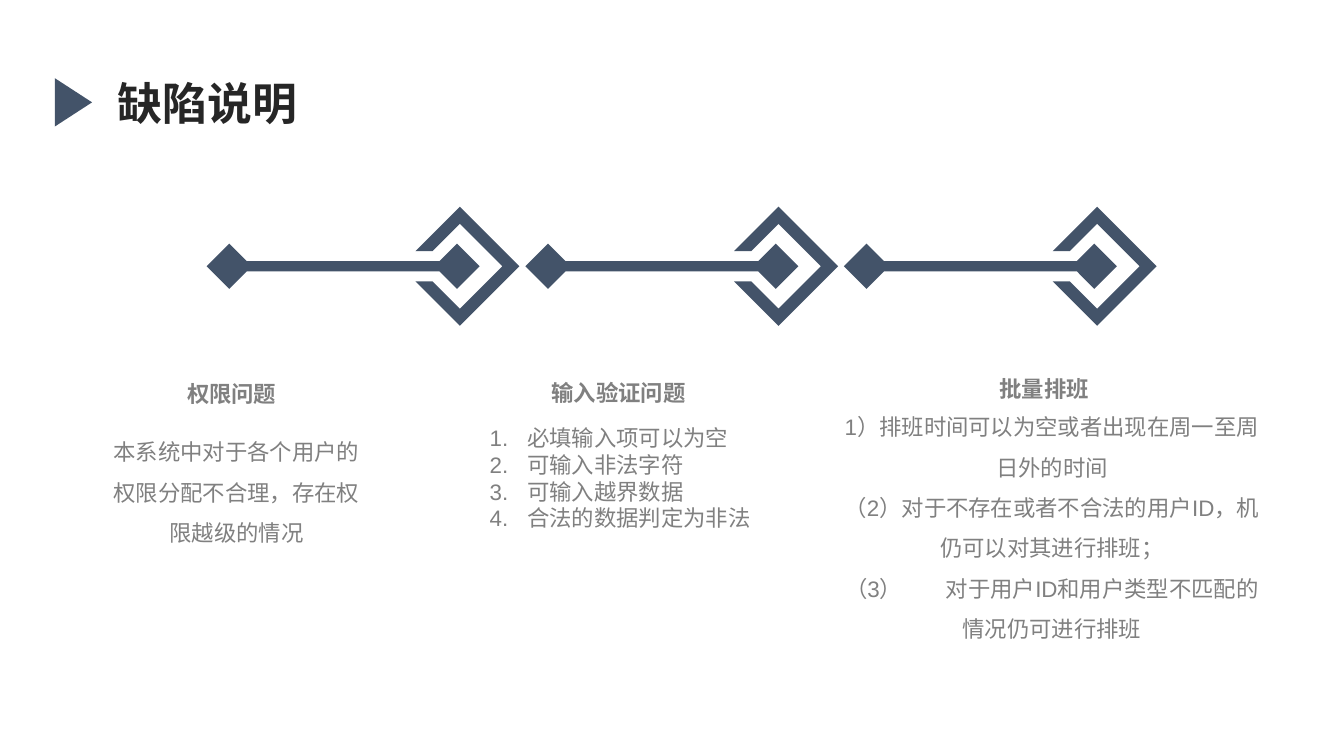
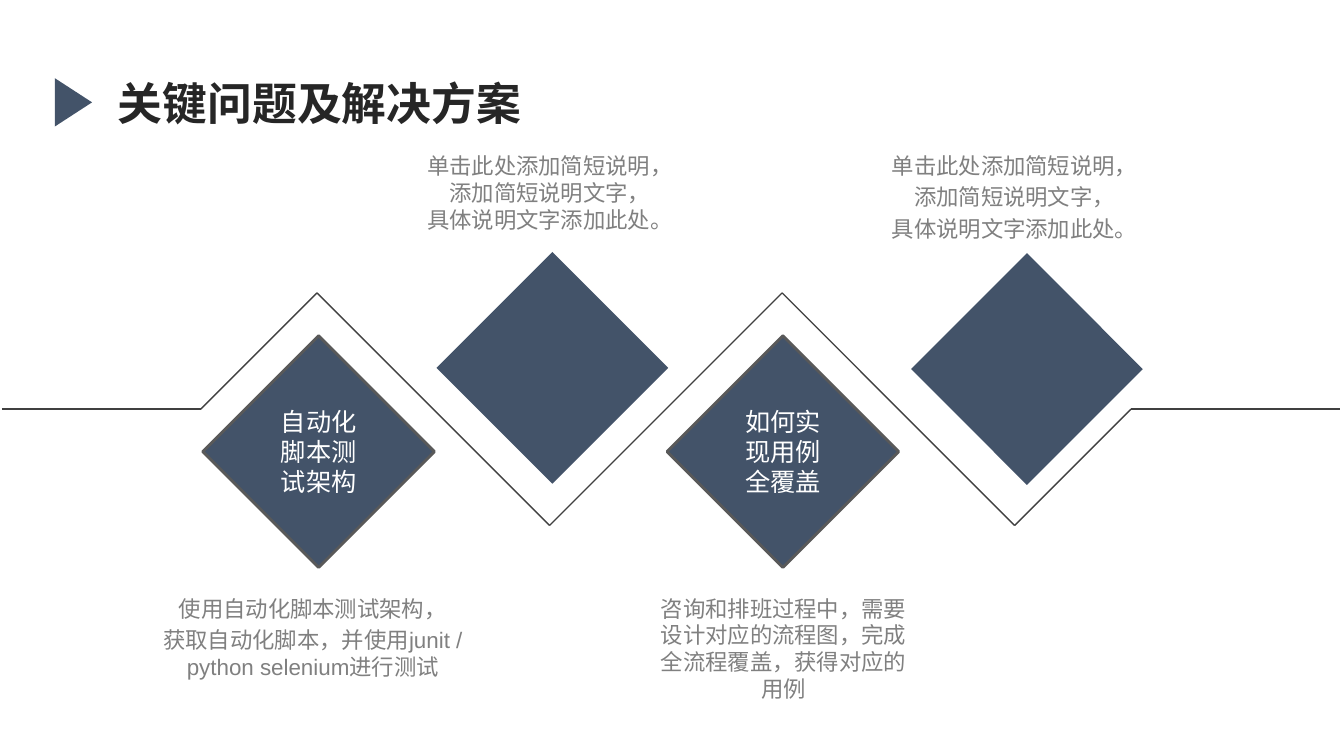
from itertools import pairwise

from lxml import etree
from pptx import Presentation
from pptx.dml.color import RGBColor
from pptx.enum.lang import MSO_LANGUAGE_ID as Lang
from pptx.enum.shapes import MSO_CONNECTOR as Connector, MSO_SHAPE as Shape
from pptx.enum.text import MSO_ANCHOR as Anchor, MSO_AUTO_SIZE as AutoSize, PP_ALIGN as Align
from pptx.oxml.ns import qn
from pptx.util import Cm, Pt

COLORS = {
    "accent": "435369",
    "title": "262626",
    "body": "808080",
    "path": "404040",
    "edge": "595959",
    "light": "FFFFFF",
}
FONT = "Arial"


def color(name):
    return RGBColor.from_string(COLORS[name])


def write(frame, text, size=16, ink="body", bold=False, align=Align.CENTER,
          spacing=None, gap=None, numbered=False):
    """Fill a text frame, one paragraph per line of text."""
    frame.word_wrap = True
    for index, line in enumerate(text.split("\n")):
        paragraph = frame.add_paragraph() if index else frame.paragraphs[0]
        paragraph.alignment = align
        if spacing:
            paragraph.line_spacing = spacing
        if gap and index:
            paragraph.space_before = Pt(gap)
        if numbered:
            properties = paragraph._p.get_or_add_pPr()
            properties.set("marL", str(Cm(0.95)))
            properties.set("indent", str(-Cm(0.95)))
            etree.SubElement(properties, qn("a:buAutoNum"), type="arabicPeriod")
        run = paragraph.add_run()
        run.text = line
        font = run.font
        font.size, font.bold, font.name = Pt(size), bold, FONT
        font.color.rgb = color(ink)
        font.language_id = Lang.SIMPLIFIED_CHINESE
        etree.SubElement(run._r.get_or_add_rPr(), qn("a:ea"), typeface=FONT)


def add_text(slide, left, top, width, height, text, **style):
    box = slide.shapes.add_textbox(Cm(left), Cm(top), Cm(width), Cm(height))
    write(box.text_frame, text, **style)
    box.text_frame.auto_size = AutoSize.SHAPE_TO_FIT_TEXT


def paint(shape, edge=None):
    shape.shadow.inherit = False
    shape.fill.solid()
    shape.fill.fore_color.rgb = color("accent")
    if edge:
        shape.line.color.rgb = color(edge)
        shape.line.width = Pt(2)
    else:
        shape.line.fill.background()


def add_outline(slide, points):
    (first_x, first_y), *others = [(Cm(x), Cm(y)) for x, y in points]
    builder = slide.shapes.build_freeform(first_x, first_y)
    builder.add_line_segments(others, close=True)
    paint(builder.convert_to_shape())


def add_title(slide, text, width):
    marker = slide.shapes.add_shape(Shape.ISOSCELES_TRIANGLE, Cm(1.24), Cm(2.11), Cm(1.22), Cm(0.94))
    marker.rotation = 90
    paint(marker)
    add_text(slide, 2.72, 1.78, width, 1.63, text, size=32, ink="title", bold=True, align=Align.LEFT)


def add_link(slide, left, middle):
    """Rod with a diamond at each end, inside an open square chevron."""
    length, tip, rod = 6.88, 0.57, 0.13
    neck = 2 * tip - rod
    right = left + length
    add_outline(slide, [
        (left, middle), (left + tip, middle - tip), (left + neck, middle - rod),
        (right - neck, middle - rod), (right - tip, middle - tip), (right, middle),
        (right - tip, middle + tip), (right - neck, middle + rod),
        (left + neck, middle + rod), (left + tip, middle + tip),
    ])
    apex, outer, inner, opening = left + 6.38, 1.5, 1.07, 0.38
    add_outline(slide, [
        (apex, middle - outer), (apex - outer + opening, middle - opening),
        (apex - inner + opening, middle - opening), (apex, middle - inner),
        (apex + inner, middle), (apex, middle + inner),
        (apex - inner + opening, middle + opening),
        (apex - outer + opening, middle + opening), (apex, middle + outer),
        (apex + outer, middle),
    ])


def add_defect(slide, left, top, width, height, heading, body,
               inset=1.14, heading_width=4.72, drop=1.14, **style):
    add_text(slide, left + inset, top, heading_width, 0.94, heading, bold=True)
    add_text(slide, left, top + drop, width, height - drop, body, **style)


def build_defects(slide):
    add_title(slide, "缺陷说明", 7.95)
    # Chain of links
    for step in range(3):
        add_link(slide, 5.21 + 8.03 * step, 6.71)
    # Defect columns
    add_defect(slide, 2.34, 9.45, 7.24, 4.34, "权限问题",
               "本系统中对于各个用户的权限分配不合理，存在权限越级的情况", spacing=1.5)
    add_defect(slide, 12.09, 9.42, 7.24, 4.14, "输入验证问题",
               "必填输入项可以为空\n可输入非法字符\n可输入越界数据\n合法的数据判定为非法",
               align=Align.JUSTIFY, numbered=True)
    add_defect(slide, 20.78, 9.32, 11.46, 6.94, "批量排班",
               "1）排班时间可以为空或者出现在周一至周日外的时间\n"
               "（2）对于不存在或者不合法的用户ID，机仍可以对其进行排班；\n"
               "（3）\t对于用户ID和用户类型不匹配的情况仍可进行排班",
               inset=1.8, heading_width=7.47, drop=0.64, spacing=1.5)


def add_zigzag(slide, left, right, middle, start, reach):
    """Level line that swings up and down by the reach."""
    swings = [(0, 0), (1, -1), (3, 1), (5, -1), (7, 1), (8, 0)]
    corners = [(start + across * reach, middle + down * reach) for across, down in swings]
    for (x1, y1), (x2, y2) in pairwise([(left, middle), *corners, (right, middle)]):
        stretch = slide.shapes.add_connector(Connector.STRAIGHT, Cm(x1), Cm(y1), Cm(x2), Cm(y2))
        stretch.line.color.rgb = color("path")
        stretch.line.width = Pt(1)
        etree.SubElement(stretch._element.spPr, qn("a:effectLst"))


def add_diamond(slide, left, top, problem=None):
    side = Cm(5.84)
    diamond = slide.shapes.add_shape(Shape.DIAMOND, Cm(left), Cm(top), side, side)
    paint(diamond, edge="edge" if problem else None)
    if problem:
        diamond.text_frame.vertical_anchor = Anchor.MIDDLE
        write(diamond.text_frame, problem, size=18, ink="light")


def build_solutions(slide):
    add_title(slide, "关键问题及解决方案", 11.38)
    add_zigzag(slide, 0.05, 33.78, 10.31, 5.06, 2.93)
    # Diamonds
    add_diamond(slide, 5.11, 8.46, "自动化脚本测试架构")
    add_diamond(slide, 11, 6.35)
    add_diamond(slide, 16.81, 8.46, "如何实现用例全覆盖")
    add_diamond(slide, 22.96, 6.38)
    # Hints above
    hint = "单击此处添加简短说明，\n添加简短说明文字，\n具体说明文字添加此处。"
    for left, gap in ((10.26, None), (21.97, 3.2)):
        add_text(slide, left, 3.71, 7.2, 2.31, hint, gap=gap)
    # Solutions below
    add_text(slide, 3.63, 14.86, 8.51, 2.44,
             "使用自动化脚本测试架构，\n获取自动化脚本，并使用junit / python selenium进行测试", gap=3.2)
    add_text(slide, 16.13, 14.86, 7.24, 3,
             "咨询和排班过程中，需要设计对应的流程图，完成全流程覆盖，获得对应的用例")


def main():
    deck = Presentation()
    deck.slide_width, deck.slide_height = Cm(33.87), Cm(19.05)
    for build in (build_defects, build_solutions):
        build(deck.slides.add_slide(deck.slide_layouts[6]))
    deck.save("out.pptx")


if __name__ == "__main__":
    main()
